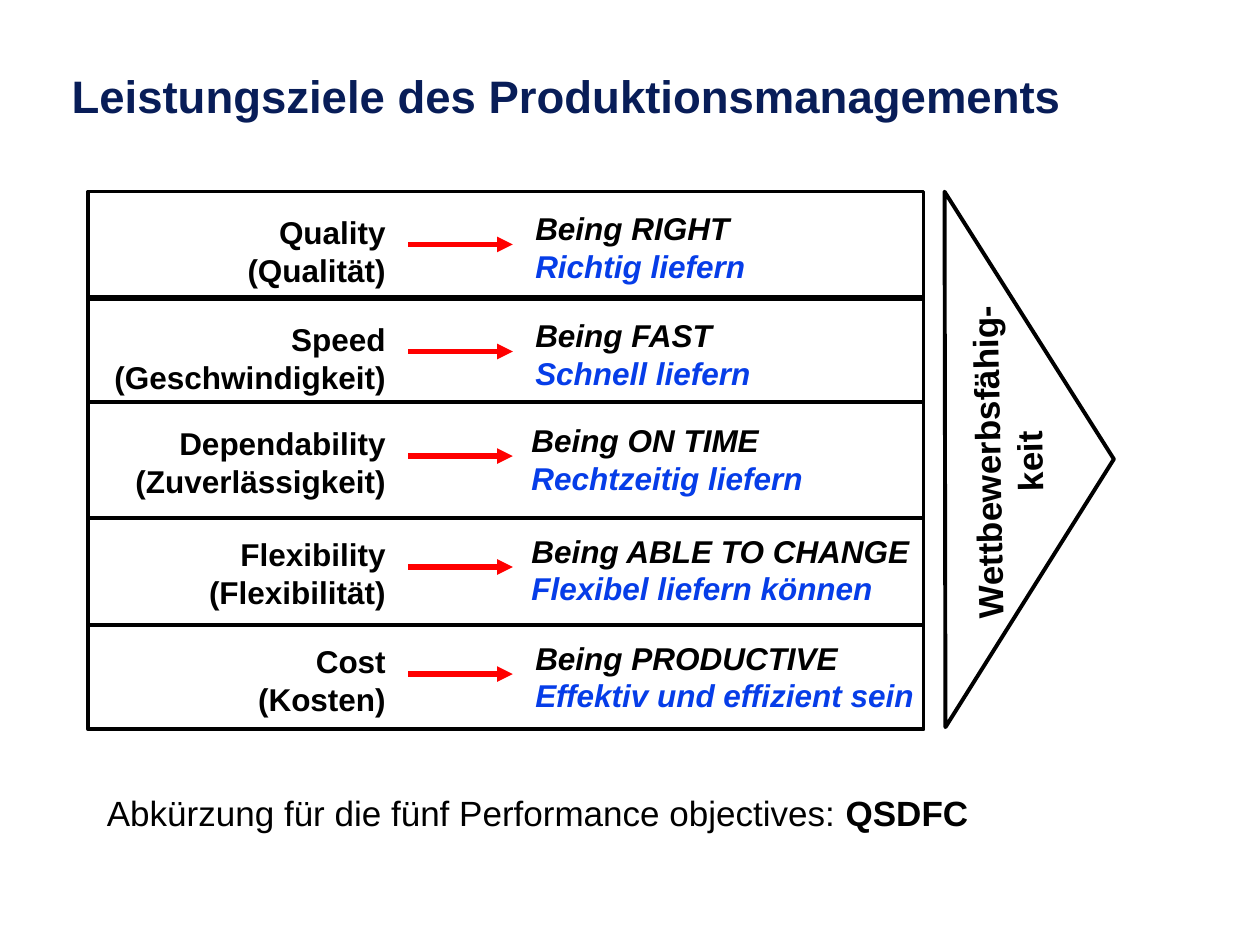
from lxml import etree
from pptx import Presentation
from pptx.dml.color import RGBColor
from pptx.enum.shapes import MSO_CONNECTOR as Connector, MSO_SHAPE as Shape
from pptx.enum.text import MSO_ANCHOR as Anchor, PP_ALIGN as Align
from pptx.oxml.ns import qn
from pptx.util import Inches, Pt

COLORS = {"title": "081D58", "ink": "000000", "german": "063DE8", "arrow": "FF0000"}
FONT = "Arial"

# Row top, row height, text top and text left of the aim, then the wording
OBJECTIVES = [
    (1.52, 0.85, 1.64, 4.15, "Quality", "(Qualität)", "Being RIGHT", "Richtig liefern"),
    (2.36, 0.83, 2.49, 4.15, "Speed", "(Geschwindigkeit)", "Being FAST", "Schnell liefern"),
    (3.19, 0.92, 3.32, 4.12, "Dependability", "(Zuverlässigkeit)",
     "Being ON TIME", "Rechtzeitig liefern"),
    (4.11, 0.85, 4.20, 4.12, "Flexibility", "(Flexibilität)",
     "Being ABLE TO CHANGE", "Flexibel liefern können"),
    (4.96, 0.83, 5.05, 4.15, "Cost", "(Kosten)",
     "Being PRODUCTIVE", "Effektiv und effizient sein"),
]


def color(name):
    return RGBColor.from_string(COLORS[name])


def add_text(page, box, lines, size=18, align=Align.LEFT, anchor=Anchor.TOP,
             italic=False, rotation=0, wrap=True):
    """Each line is a list of (text, colour name, bold) spans."""
    shape = page.shapes.add_textbox(*map(Inches, box))
    shape.rotation = rotation
    frame = shape.text_frame
    frame.word_wrap = wrap
    frame.vertical_anchor = anchor
    para = frame.paragraphs[0]
    para.alignment = align
    for index, line in enumerate(lines):
        if index:
            para.add_line_break()
        for text, ink, bold in line:
            span = para.add_run()
            span.text = text
            font = span.font
            font.name, font.size = FONT, Pt(size)
            font.bold, font.italic = bold, italic
            font.color.rgb = color(ink)


def add_outline(page, kind, box, rotation=0):
    shape = page.shapes.add_shape(kind, *map(Inches, box))
    shape.shadow.inherit = False
    shape.rotation = rotation
    shape.fill.background()
    shape.line.color.rgb = color("ink")
    shape.line.width = Pt(2.24)


def add_arrow(page, left, right, y):
    arrow = page.shapes.add_connector(
        Connector.STRAIGHT, Inches(left), Inches(y), Inches(right), Inches(y))
    arrow.line.color.rgb = color("arrow")
    arrow.line.width = Pt(3)
    etree.SubElement(arrow.line._get_or_add_ln(), qn("a:tailEnd"), type="triangle")
    etree.SubElement(arrow._element.spPr, qn("a:effectLst"))


def add_objective(page, box, text_top, aim_left, name, german_name, aim, german_aim):
    left, top, width, height = box
    add_outline(page, Shape.RECTANGLE, box)
    add_text(page, (left - 0.05, text_top, 2.51, 0.7),
             [[(name, "ink", True)], [(german_name, "ink", True)]], align=Align.RIGHT)
    add_arrow(page, left + 2.54, left + 3.37, text_top + 0.3)
    add_text(page, (aim_left, text_top - 0.03, 3.4, 0.7),
             [[(aim, "ink", True)], [(german_aim, "german", True)]], italic=True)


def add_competitiveness(page, box):
    """Right-pointing triangle with upward text; the box is the upright area."""
    left, top, width, height = box
    center_x, center_y = left + width / 2, top + height / 2
    add_outline(page, Shape.ISOSCELES_TRIANGLE,
                (center_x - height / 2, center_y - width / 2, height, width), rotation=89.9)
    text_width, text_height = 2.75, 0.77
    add_text(page, (center_x - 0.17 - text_width / 2, center_y + 0.02 - text_height / 2,
                    text_width, text_height),
             [[("Wettbewerbsfähig-keit", "ink", True)]],
             size=20, align=Align.CENTER, rotation=268.9)


deck = Presentation()
deck.slide_width, deck.slide_height = Inches(10), Inches(7.5)
page = deck.slides.add_slide(deck.slide_layouts[6])

# Title
add_text(page, (0.47, 0.14, 8.67, 0.88),
         [[("Leistungsziele des Produktionsmanagements", "title", True)]],
         size=26, anchor=Anchor.BOTTOM)

# Five objectives and the arrowhead beside them
for top, height, *content in OBJECTIVES:
    add_objective(page, (0.7, top, 6.63, height), *content)
add_competitiveness(page, (7.5, 1.52, 1.34, 4.25))

# Abbreviation
add_text(page, (0.75, 6.23, 7.04, 0.44),
         [[("Abkürzung für die fünf Performance objectives: ", "ink", False),
           ("QSDFC", "ink", True)]], size=20, wrap=False)

deck.save("out.pptx")
